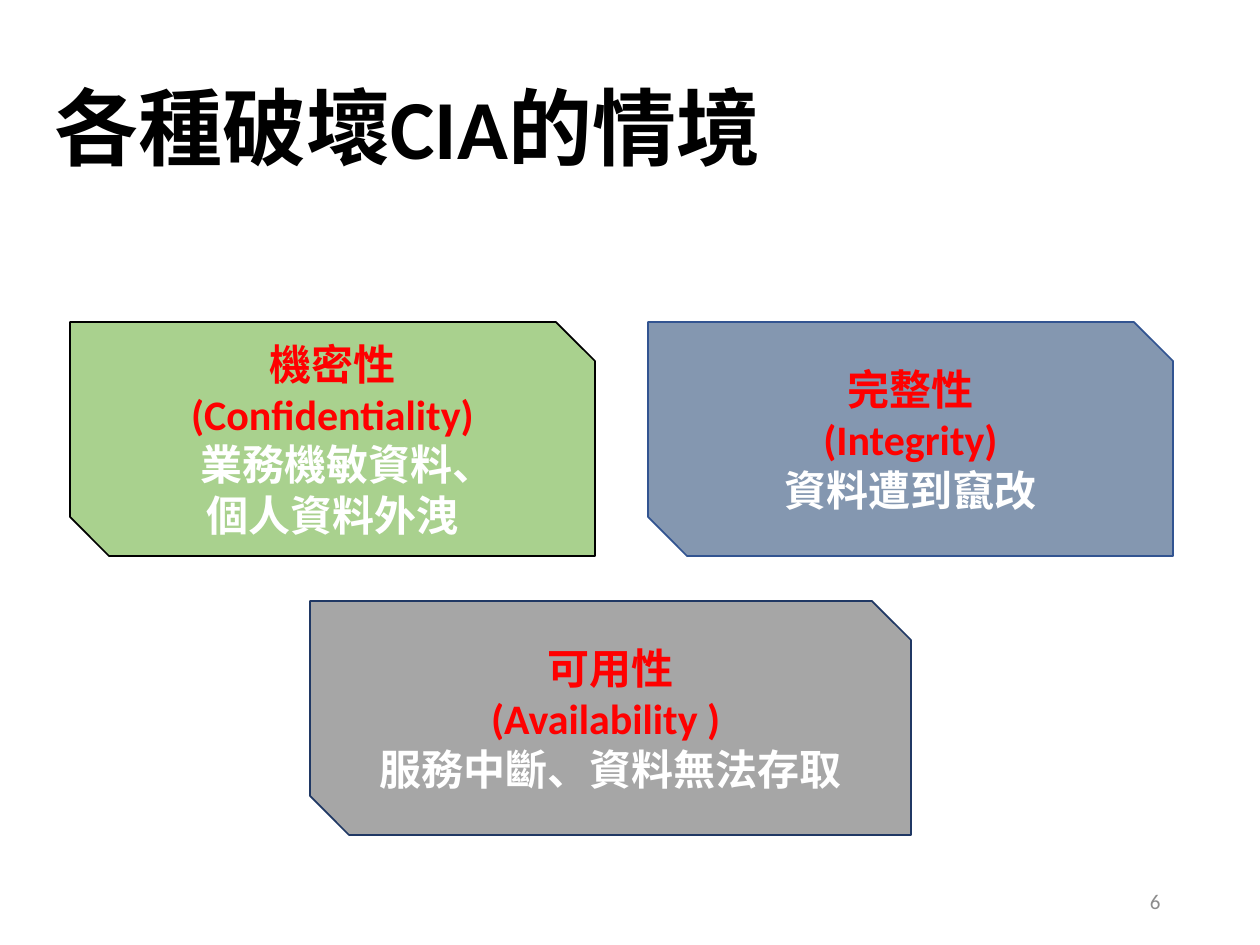
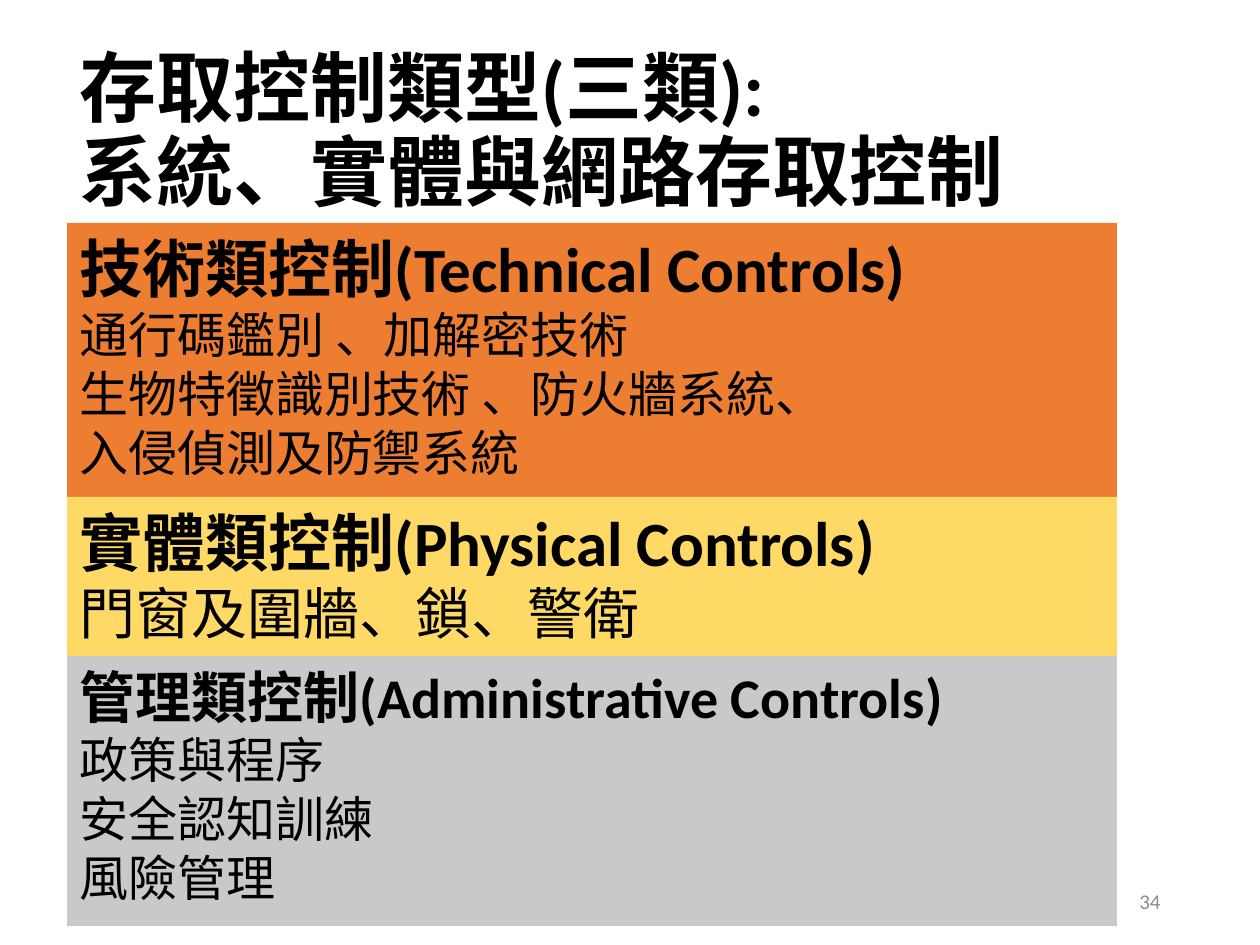
from pptx import Presentation
from pptx.dml.color import RGBColor
from pptx.enum.shapes import MSO_SHAPE
from pptx.enum.text import MSO_ANCHOR, PP_ALIGN
from pptx.util import Emu, Pt

SCALE = 914400 / 126
FONT = "Calibri"
BLACK = RGBColor(0x00, 0x00, 0x00)
WHITE = RGBColor(0xFF, 0xFF, 0xFF)
RED = RGBColor(0xFF, 0x00, 0x00)
NUMBER_GRAY = RGBColor(0x8C, 0x8C, 0x8C)
GREEN = RGBColor(0xA9, 0xD1, 0x8E)
SLATE = RGBColor(0x84, 0x97, 0xB0)
GRAY = RGBColor(0xA6, 0xA6, 0xA6)
NAVY = RGBColor(0x20, 0x38, 0x64)
BLUE = RGBColor(0x32, 0x54, 0x91)
ORANGE = RGBColor(0xED, 0x7D, 0x31)
YELLOW = RGBColor(0xFF, 0xD9, 0x66)
SILVER = RGBColor(0xC9, 0xC9, 0xC9)

SNIPPED = MSO_SHAPE.SNIP_2_DIAG_RECTANGLE
RECTANGLE = MSO_SHAPE.RECTANGLE
TOP, MIDDLE = MSO_ANCHOR.TOP, MSO_ANCHOR.MIDDLE
LEFT, CENTER, RIGHT = PP_ALIGN.LEFT, PP_ALIGN.CENTER, PP_ALIGN.RIGHT

NUMBER_BOX = (890, 876, 283, 50)


def px(length):
    return Emu(round(length * SCALE))


def write(shape, lines, anchor, align, spacing=None):
    frame = shape.text_frame
    frame.word_wrap = True
    frame.vertical_anchor = anchor
    for index, (text, size, color, bold) in enumerate(lines):
        paragraph = frame.paragraphs[0] if index == 0 else frame.add_paragraph()
        paragraph.text = text
        paragraph.alignment = align
        if spacing:
            paragraph.line_spacing = spacing
        font = paragraph.font
        font.name, font.size, font.bold = FONT, Pt(size), bold
        font.color.rgb = color


def add_text(slide, box, line, align, spacing=None):
    shape = slide.shapes.add_textbox(*map(px, box))
    write(shape, [line], MIDDLE, align, spacing)


def add_panel(slide, kind, box, fill, outline, lines, anchor, align):
    shape = slide.shapes.add_shape(kind, *map(px, box))
    shape.shadow.inherit = False
    shape.fill.solid()
    shape.fill.fore_color.rgb = fill
    if outline is None:
        shape.line.fill.background()
    else:
        shape.line.color.rgb = outline
        shape.line.width = Pt(1)
    write(shape, lines, anchor, align)
    return shape


def add_base(presentation, title, title_box, title_size, number):
    slide = presentation.slides.add_slide(presentation.slide_layouts[6])
    add_text(slide, title_box, (title, title_size, BLACK, True), LEFT, 0.9)
    add_text(slide, NUMBER_BOX, (number, 12, NUMBER_GRAY, False), RIGHT)
    return slide


def add_threat(slide, box, fill, outline, heading, effects):
    lines = [(text, 24, RED, True) for text in heading]
    lines += [(text, 24, WHITE, True) for text in effects]
    return add_panel(slide, SNIPPED, box, fill, outline, lines, MIDDLE, CENTER)


def add_control(slide, box, fill, heading, heading_size, items, item_size):
    lines = [(heading, heading_size, BLACK, True)]
    lines += [(text, item_size, BLACK, False) for text in items]
    add_panel(slide, RECTANGLE, box, fill, None, lines, TOP, LEFT)


def build_threats(presentation):
    slide = add_base(presentation, "各種破壞CIA的情境", (42, 23, 1133, 219), 48, "6")
    height = 234
    confidentiality = add_threat(
        slide, (70, 322, 525, height), GREEN, BLACK,
        ["機密性", "(Confidentiality)"], ["業務機敏資料、", "個人資料外洩"])
    indented = confidentiality.text_frame.paragraphs[2]
    indented._p.get_or_add_pPr().set("marL", str(px(30)))
    add_threat(slide, (310, 601, 601, height), GRAY, NAVY,
               ["可用性", "(Availability ) "], ["服務中斷、資料無法存取"])
    add_threat(slide, (648, 322, 525, height), SLATE, BLUE,
               ["完整性", "(Integrity)"], ["資料遭到竄改"])


def build_controls(presentation):
    slide = add_base(presentation, "存取控制類型(三類):\n系統、實體與網路存取控制",
                     (67, 42, 1086, 183), 44, "34")
    controls = [
        (223, 280, ORANGE, "技術類控制(Technical Controls)", 36,
         ["通行碼鑑別 、加解密技術", "生物特徵識別技術 、防火牆系統、", "入侵偵測及防禦系統"], 28),
        (497, 164, YELLOW, "實體類控制(Physical Controls)", 36,
         ["門窗及圍牆、鎖、警衛"], 32),
        (656, 270, SILVER, "管理類控制(Administrative Controls)", 32,
         ["政策與程序", "安全認知訓練", "風險管理"], 28),
    ]
    for top, height, *content in controls:
        add_control(slide, (67, top, 1050, height), *content)


presentation = Presentation()
presentation.slide_width = px(1260)
presentation.slide_height = px(945)
build_threats(presentation)
build_controls(presentation)
presentation.save("out.pptx")
